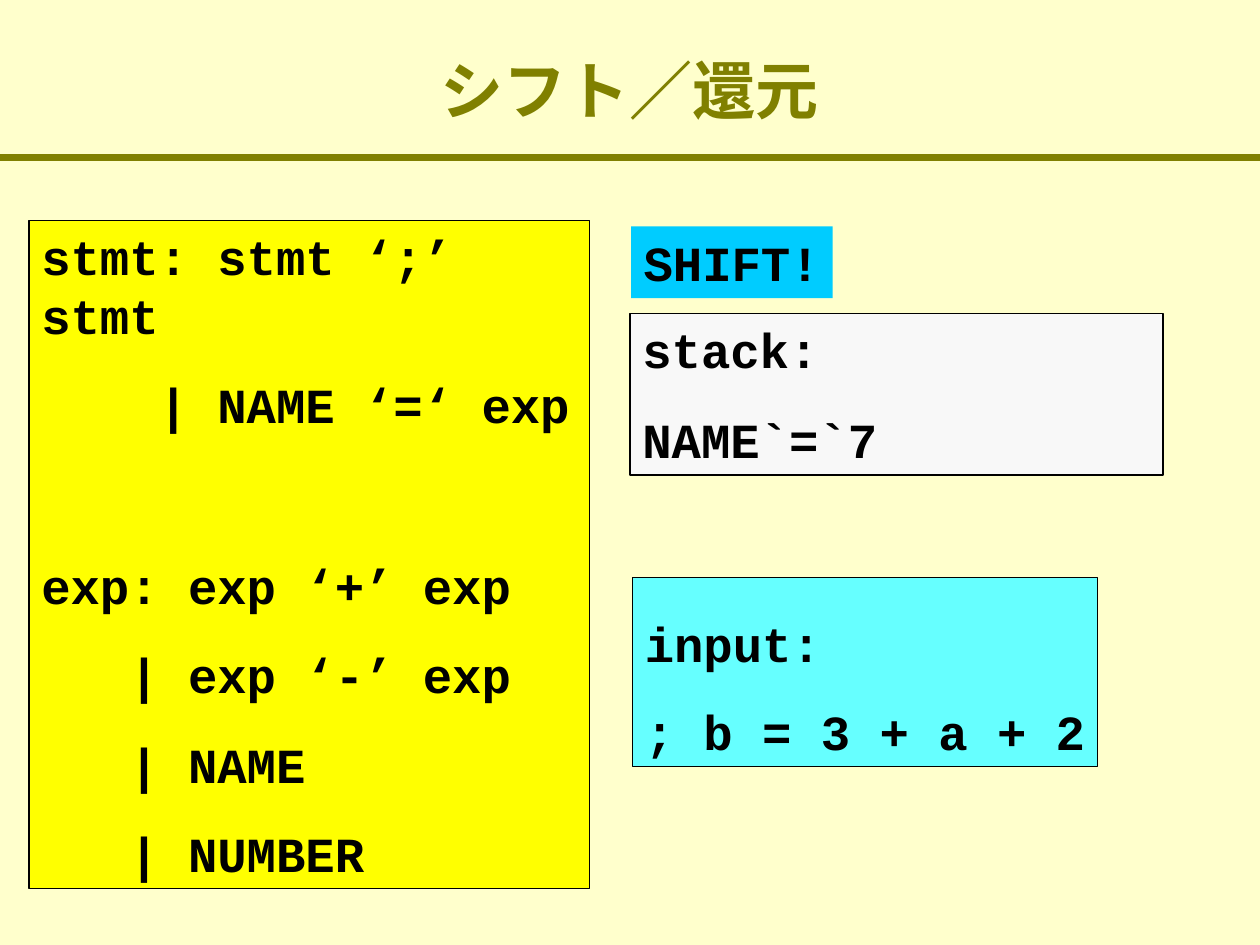
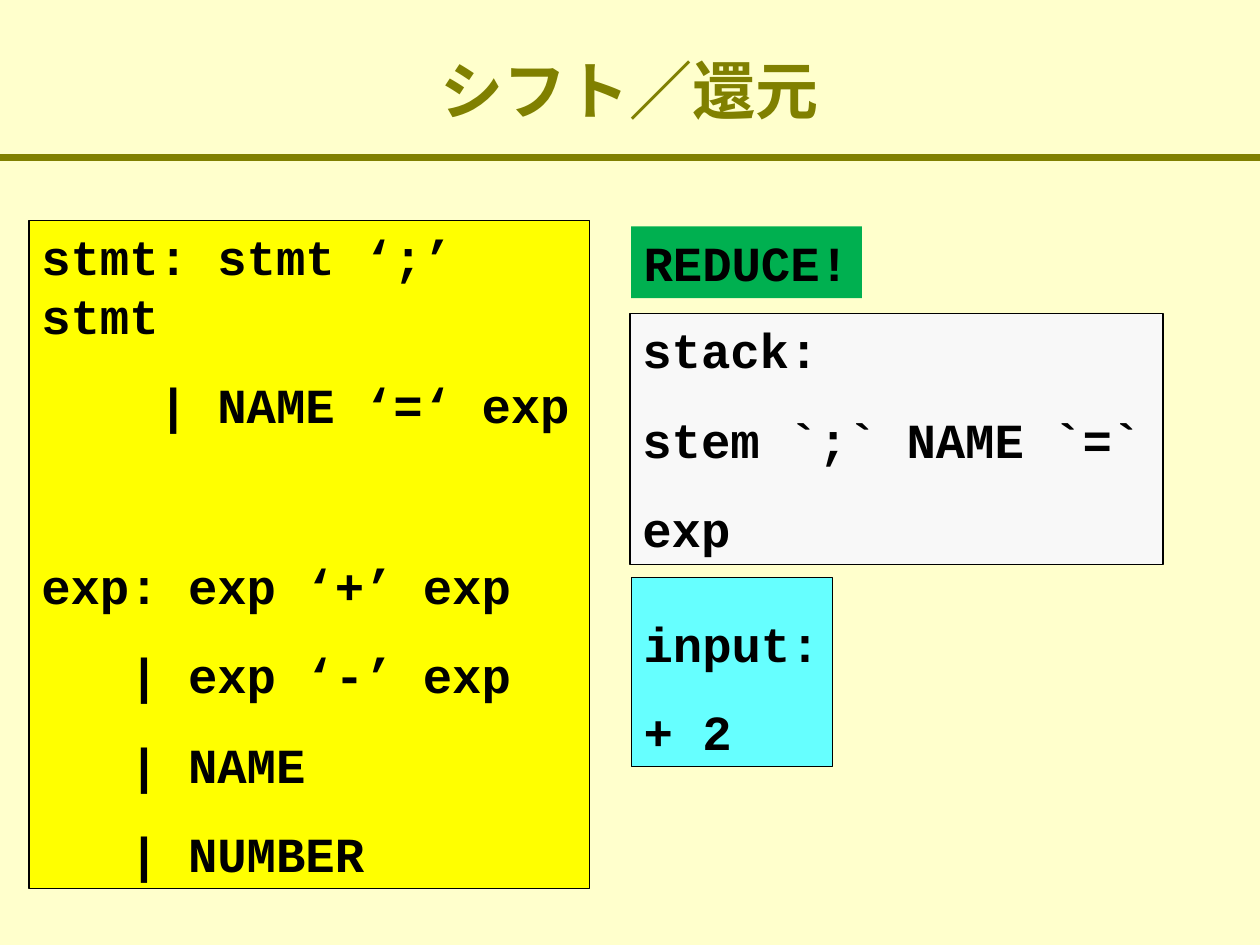
"""Build two slides that trace shift and reduce steps of a parser."""
from dataclasses import dataclass

from lxml.etree import SubElement
from pptx import Presentation
from pptx.dml.color import RGBColor
from pptx.enum.shapes import MSO_CONNECTOR, MSO_SHAPE
from pptx.enum.text import MSO_ANCHOR, PP_ALIGN
from pptx.oxml.ns import qn
from pptx.util import Pt


@dataclass(frozen=True)
class Theme:
    paper: str = "FFFFCC"
    olive: str = "808000"
    ink: str = "000000"
    grammar: str = "FFFF00"
    stack: str = "F8F8F8"
    input: str = "66FFFF"
    shift: str = "00CCFF"
    reduce: str = "00B050"
    title_font: str = "Times New Roman"
    code_font: str = "Courier New"
    title_size: float = 36
    code_size: float = 28
    paragraph_gap: float = 17.5
    rule_gap: float = 69.5


theme = Theme()


def add_run(paragraph, text, font_name, size, color):
    run = paragraph.add_run()
    run.text = text
    run.font.name = font_name
    run.font.size = Pt(size)
    run.font.bold = True
    run.font.color.rgb = RGBColor.from_string(color)


def add_code_panel(slide, bounds, fill, lines, gaps, outlined=True, wrap=True, spacing=None):
    panel = slide.shapes.add_shape(MSO_SHAPE.RECTANGLE, *map(Pt, bounds))
    panel.shadow.inherit = False
    panel.fill.solid()
    panel.fill.fore_color.rgb = RGBColor.from_string(fill)
    if outlined:
        panel.line.color.rgb = RGBColor.from_string(theme.ink)
        panel.line.width = Pt(0.75)
    else:
        panel.line.fill.background()
    frame = panel.text_frame
    frame.word_wrap = wrap
    frame.vertical_anchor = MSO_ANCHOR.TOP
    for index, (line, gap) in enumerate(zip(lines, gaps)):
        paragraph = frame.add_paragraph() if index else frame.paragraphs[0]
        paragraph.alignment = PP_ALIGN.LEFT
        paragraph.space_before = Pt(gap)
        if spacing:
            paragraph.line_spacing = spacing
        add_run(paragraph, line, theme.code_font, theme.code_size, theme.ink)


grammar_rules = [
    ["stmt: stmt ‘;’ stmt", "    | NAME ‘=‘ exp"],
    ["exp: exp ‘+’ exp", "   | exp ‘-’ exp", "   | NAME", "   | NUMBER"],
]
grammar_lines = [line for rule in grammar_rules for line in rule]
grammar_gaps = [
    theme.paragraph_gap if position else theme.rule_gap
    for rule in grammar_rules
    for position in range(len(rule))
]
grammar_gaps[0] = 0

steps = [
    {
        "action": "SHIFT!", "color": theme.shift, "action_width": 115.2,
        "stack": ["stack:", "NAME`=`7"], "stack_height": 92.2,
        "input": ["input:", "; b = 3 + a + 2"], "input_left": 361.4, "input_width": 265.7,
    },
    {
        "action": "REDUCE!", "color": theme.reduce, "action_width": 131.8,
        "stack": ["stack:", "stem `;` NAME `=`", "exp"], "stack_height": 143.3,
        "input": ["input:", "+ 2"], "input_left": 360.7, "input_width": 115.2,
    },
]

deck = Presentation()
deck.slide_width, deck.slide_height = Pt(720), Pt(540)
paper = deck.slide_master.background.fill
paper.solid()
paper.fore_color.rgb = RGBColor.from_string(theme.paper)

for step in steps:
    slide = deck.slides.add_slide(deck.slide_layouts[6])

    title_rule = slide.shapes.add_connector(MSO_CONNECTOR.STRAIGHT, 0, Pt(90), Pt(720), Pt(90))
    title_rule.line.color.rgb = RGBColor.from_string(theme.olive)
    title_rule.line.width = Pt(4.5)
    SubElement(title_rule.element.spPr, qn("a:effectLst"))

    heading = slide.shapes.add_textbox(0, Pt(6), Pt(720), Pt(90)).text_frame
    heading.word_wrap = True
    heading.vertical_anchor = MSO_ANCHOR.MIDDLE
    heading.paragraphs[0].alignment = PP_ALIGN.CENTER
    add_run(heading.paragraphs[0], "シフト／還元", theme.title_font, theme.title_size, theme.olive)

    add_code_panel(slide, (16.5, 126, 320.4, 381.6), theme.grammar, grammar_lines, grammar_gaps)
    add_code_panel(slide, (step["input_left"], 330.2, step["input_width"], 108), theme.input,
                   step["input"], [0, 0], wrap=False, spacing=1.5)
    add_code_panel(slide, (360, 179.2, 304.6, step["stack_height"]), theme.stack,
                   step["stack"], [0] + [theme.paragraph_gap] * (len(step["stack"]) - 1))
    add_code_panel(slide, (360.7, 129.4, step["action_width"], 41), step["color"],
                   [step["action"]], [0], outlined=False, wrap=False)

deck.save("out.pptx")
